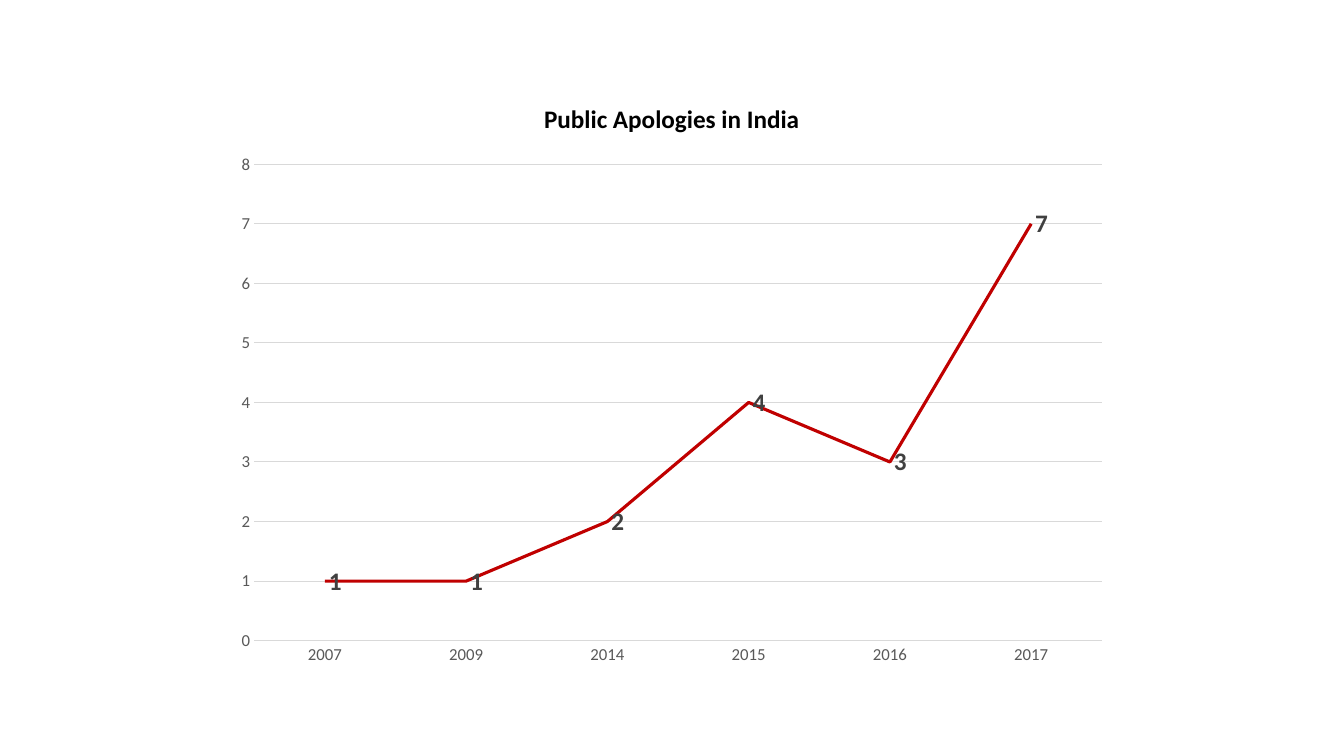
from dataclasses import dataclass

from pptx import Presentation, util as u
from pptx.chart.data import CategoryChartData
from pptx.dml.color import RGBColor
from pptx.enum import chart as ch


@dataclass(frozen=True)
class Theme:
    font: str = "Calibri"
    title: str = "000000"
    label: str = "404040"
    axis: str = "595959"
    grid: str = "D9D9D9"
    accent: str = "C00000"
    title_size: float = 18
    label_size: float = 18
    axis_size: float = 12
    grid_width: float = 0.75
    line_width: float = 2.25


def style_font(font, name, size, color, bold=False):
    font.name, font.size, font.bold = name, u.Pt(size), bold
    font.color.rgb = RGBColor.from_string(color)


def add_text(tf, text, **fmt):
    r = tf.paragraphs[0].add_run()
    r.text = text
    style_font(r.font, **fmt)


def style_line(line, color, width):
    line.color.rgb = RGBColor.from_string(color)
    line.width = u.Pt(width)


class SlideBuilder:
    """Draws styled elements on the current slide."""

    def __init__(self, prs, theme):
        self.theme = theme
        self.s = prs.slides.add_slide(prs.slide_layouts[6])

    def axis(self, axis):
        t = self.theme
        axis.major_tick_mark = axis.minor_tick_mark = ch.XL_TICK_MARK.NONE
        style_font(axis.tick_labels.font, t.font, t.axis_size, t.axis)

    def line_chart(self, title, series, points, box, top, step):
        t = self.theme
        data = CategoryChartData()
        data.categories = list(points)
        data.add_series(series, list(points.values()))
        chart = self.s.shapes.add_chart(
            ch.XL_CHART_TYPE.LINE, *map(u.Cm, box), data).chart
        style_font(chart.font, t.font, 10, t.title)
        chart.has_legend = False
        chart.has_title = True
        add_text(chart.chart_title.text_frame, title, name=t.font,
                 size=t.title_size, color=t.title, bold=True)
        chart.chart_title.include_in_layout = False

        cat, val = chart.category_axis, chart.value_axis
        self.axis(cat)
        self.axis(val)
        style_line(cat.format.line, t.grid, t.grid_width)
        val.format.line.fill.background()
        val.minimum_scale, val.maximum_scale, val.major_unit = 0, top, step
        val.has_major_gridlines = True
        style_line(val.major_gridlines.format.line, t.grid, t.grid_width)

        plot = chart.plots[0]
        plot.vary_by_categories = False
        line = plot.series[0]
        line.smooth = False
        line.marker.style = ch.XL_MARKER_STYLE.NONE
        style_line(line.format.line, t.accent, t.line_width)
        labels = line.data_labels
        labels.show_value = True
        labels.position = ch.XL_LABEL_POSITION.RIGHT
        style_font(labels.font, t.font, t.label_size, t.label, bold=True)


def main():
    prs = Presentation()
    prs.slide_width, prs.slide_height = u.Cm(33.87), u.Cm(19.05)
    slide = SlideBuilder(prs, Theme())
    apologies = {"2007": 1, "2009": 1, "2014": 2,
                 "2015": 4, "2016": 3, "2017": 7}
    slide.line_chart("Public Apologies in India", "Series 1", apologies,
                     box=(5.64, 2, 22.58, 15.05), top=8, step=1)
    prs.save("out.pptx")


if __name__ == "__main__":
    main()
